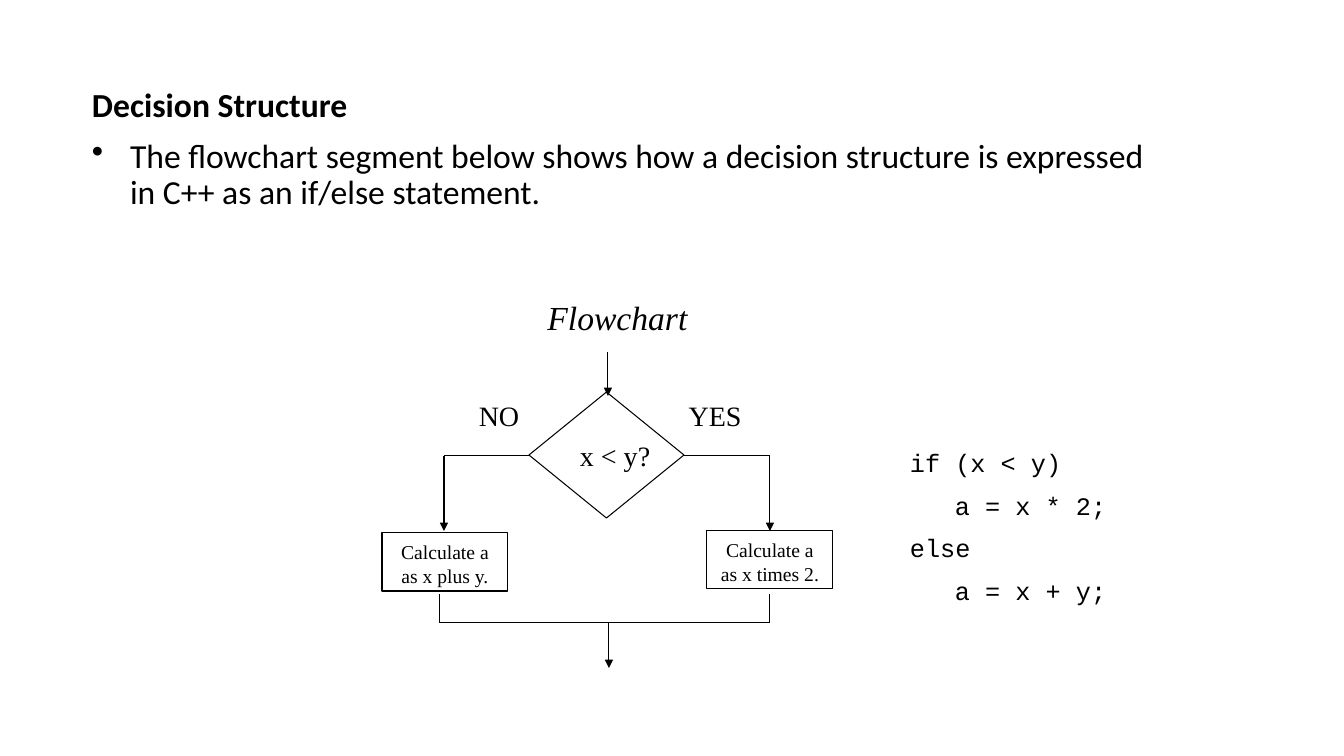
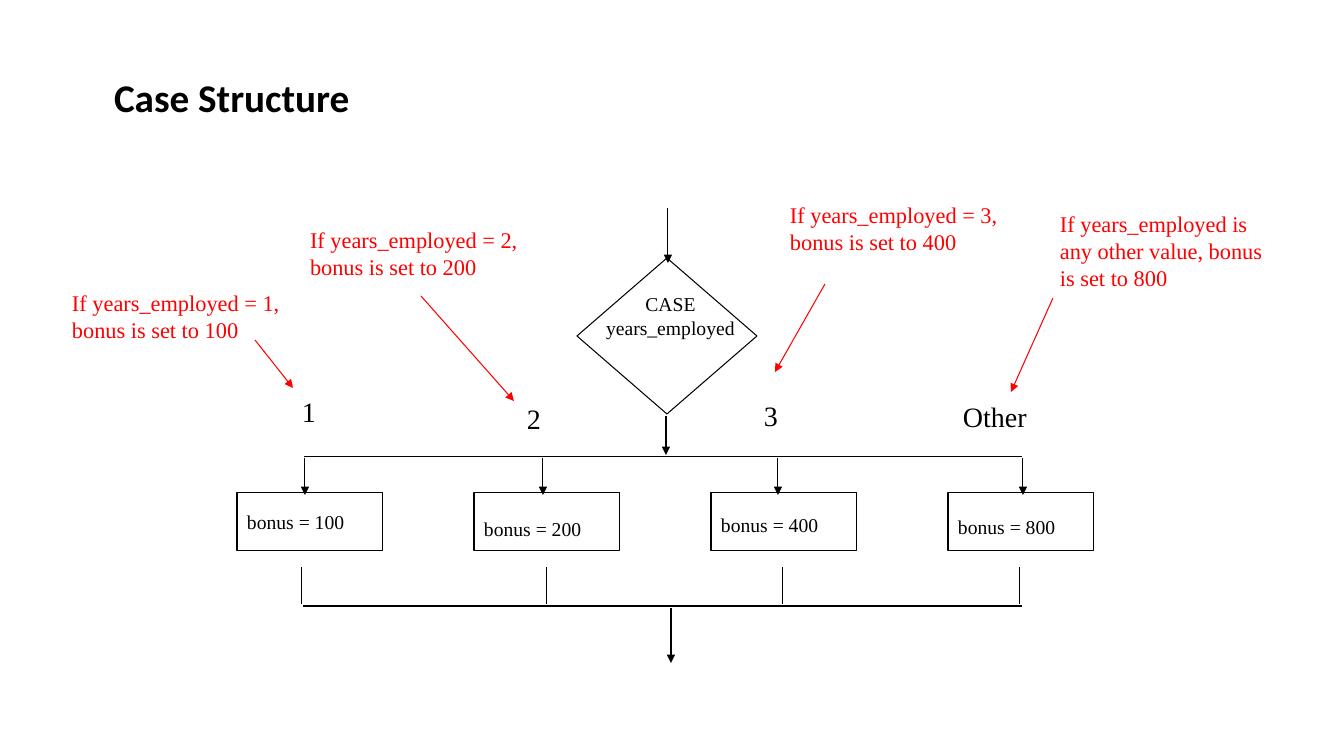
"""Build two slides of flowcharts for decision and case structures."""
from pptx import Presentation
from pptx.dml.color import RGBColor
from pptx.enum.shapes import MSO_CONNECTOR as Link, MSO_SHAPE as Kind
from pptx.enum.text import MSO_ANCHOR as Anchor, MSO_AUTO_SIZE as Auto, PP_ALIGN as Align
from pptx.oxml.ns import qn
from pptx.util import Emu, Pt
from lxml import etree

WIDE, HIGH = 1344, 756
UNIT = 12192000 / WIDE
BLACK = RGBColor(0, 0, 0)
RED = RGBColor(255, 0, 0)
SANS, SERIF, MONO = "Calibri", "Times New Roman", "Courier New"
LEFT, MID = Align.LEFT, Align.CENTER
PAD_X, PAD_Y = 10, 5

POINT = ("The flowchart segment below shows how a decision structure is "
         "expressed in C++ as an if/else statement.")
CODE = [("if (x < y)", 0), ("a = x * 2;", 45), ("else", 0), ("a = x + y;", 45)]
STEPS = [("Calculate a as x plus y.", (382, 532, 126, 59), 8),
         ("Calculate a as x times 2.", (707, 531, 126, 58), 7)]
TESTS = [("YES", (673, 394, 84, 43), 20, MID),
         ("NO", (457, 394, 84, 43), 20, MID),
         ("x < y?", (570, 434, 95, 43), 20, LEFT)]
PATHS = [(530, 456, 444, 456), (770, 456, 684, 456), (440, 594, 440, 623),
         (770, 594, 770, 623), (770, 623, 440, 623)]
FLOWS = [(444, 456, 444, 531), (770, 456, 770, 531),
         (609, 623, 609, 668), (608, 352, 608, 396)]

CASES = [("1", (292, 390, 40, 43), "bonus = 100", 17, 305, 302),
         ("2", (517, 397, 40, 43), "bonus = 200", 24, 543, 547),
         ("3", (754, 394, 40, 43), "bonus = 400", 20, 778, 783),
         ("Other", (953, 395, 122, 43), "bonus = 800", 22, 1023, 1020)]
NOTES = [("If years_employed = 1, bonus is set to 100",
          (62, 284, 271, 64), (255, 340, 293, 388)),
         ("If years_employed = 2, bonus is set to 200",
          (300, 221, 276, 64), (421, 296, 514, 401)),
         ("If years_employed = 3, bonus is set to 400",
          (780, 196, 237, 64), (825, 284, 775, 372)),
         ("If years_employed is any other value, bonus is set to 800",
          (1050, 205, 237, 91), (1053, 298, 1011, 392))]
RAILS = [(1022, 457, 304, 457), (303, 606, 1022, 606)]
DROPS = [(666, 416, 666, 455), (668, 208, 668, 263), (671, 608, 671, 663)]
BOX_X, BOX_Y, BOX_W, BOX_H, STEP = 237, 493, 146, 58, 237


def px(*nums):
    return [Emu(round(n * UNIT)) for n in nums]


def style(par, size, font=SERIF, color=BLACK, align=LEFT, bold=False):
    par.alignment = align
    face = par.font
    face.name, face.size, face.bold = font, Pt(size), bold
    face.color.rgb = color


def setup(frame, pad_x=PAD_X, top=PAD_Y):
    frame.word_wrap = True
    frame.auto_size = Auto.NONE
    frame.vertical_anchor = Anchor.TOP
    frame.margin_left, frame.margin_right = px(pad_x, pad_x)
    frame.margin_top, frame.margin_bottom = px(top, 0)


def label(slide, text, area, size, align=LEFT, color=BLACK):
    frame = slide.shapes.add_textbox(*px(*area)).text_frame
    setup(frame)
    frame.text = text
    par = frame.paragraphs[0]
    style(par, size, color=color, align=align)
    return par


def shape(slide, kind, area):
    item = slide.shapes.add_shape(kind, *px(*area))
    item.shadow.inherit = False
    item.fill.background()
    item.line.color.rgb = BLACK
    item.line.width = Pt(0.75)
    return item


def box(slide, text, area, top, align=LEFT):
    frame = shape(slide, Kind.RECTANGLE, area).text_frame
    setup(frame, top=top)
    frame.text = text
    style(frame.paragraphs[0], 14, align=align)


def line(slide, ends, arrow=False, color=BLACK):
    item = slide.shapes.add_connector(Link.STRAIGHT, *px(*ends))
    item.line.color.rgb = color
    item.line.width = Pt(0.75)
    if arrow:
        tip = etree.SubElement(item.line._get_or_add_ln(), qn("a:tailEnd"))
        tip.set("type", "triangle")
    etree.SubElement(item._element.spPr, qn("a:effectLst"))


def start(deck, text, area, size):
    slide = deck.slides.add_slide(deck.slide_layouts[5])
    title = slide.shapes.title
    title.left, title.top, title.width, title.height = px(*area)
    setup(title.text_frame, 0, 0)
    title.text_frame.text = text
    par = title.text_frame.paragraphs[0]
    style(par, size, SANS, bold=True)
    par.line_spacing = 0.9
    return slide


def bullet(slide, text, area, indent):
    frame = slide.shapes.add_textbox(*px(*area)).text_frame
    setup(frame, 0, 0)
    frame.text = text
    par = frame.paragraphs[0]
    style(par, 24, SANS)
    par.line_spacing = 0.9
    props = par._p.get_or_add_pPr()
    gap = px(indent)[0]
    props.set("marL", str(gap))
    props.set("indent", str(-gap))
    mark = etree.Element(qn("a:buChar"), char="•")
    props.find(qn("a:defRPr")).addprevious(mark)


def code(slide, rows, area):
    frame = slide.shapes.add_textbox(*px(*area)).text_frame
    setup(frame)
    frame.text = "\n".join(text for text, _ in rows)
    for par, (_, indent) in zip(frame.paragraphs, rows):
        style(par, 18, MONO)
        par.space_before = Pt(9)
        par._p.get_or_add_pPr().set("marL", str(px(indent)[0]))


def decide(deck):
    slide = start(deck, "Decision Structure", (92, 88, 1084, 37), 24)
    bullet(slide, POINT, (92, 139, 1084, 80), 38)
    shape(slide, Kind.FLOWCHART_DECISION, (529, 392, 155, 126))
    for text, area, top in STEPS:
        box(slide, text, area, top, MID)
    for ends in PATHS:
        line(slide, ends)
    for ends in FLOWS:
        line(slide, ends, True)
    for text, area, size, align in TESTS:
        label(slide, text, area, size, align)
    label(slide, "Flowchart", (513, 292, 209, 50), 24, MID).font.italic = True
    code(slide, CODE, (900, 442, 339, 168))


def choose(deck):
    slide = start(deck, "Case Structure", (114, 79, 1062, 44), 28)
    shape(slide, Kind.FLOWCHART_DECISION, (577, 258, 180, 156))
    label(slide, "CASE\vyears_employed", (552, 287, 237, 56), 14, MID)
    for ends in RAILS:
        line(slide, ends)
    for ends in DROPS:
        line(slide, ends, True)
    for i, (name, area, text, top, inlet, outlet) in enumerate(CASES):
        label(slide, name, area, 20)
        box(slide, text, (BOX_X + i * STEP, BOX_Y, BOX_W, BOX_H), top)
        line(slide, (inlet, 458, inlet, 495), True)
        line(slide, (outlet, 604, outlet, 567))
    for text, area, ends in NOTES:
        label(slide, text, area, 16, color=RED)
        line(slide, ends, True, RED)


deck = Presentation()
deck.slide_width, deck.slide_height = px(WIDE, HIGH)
decide(deck)
choose(deck)
deck.save("out.pptx")
